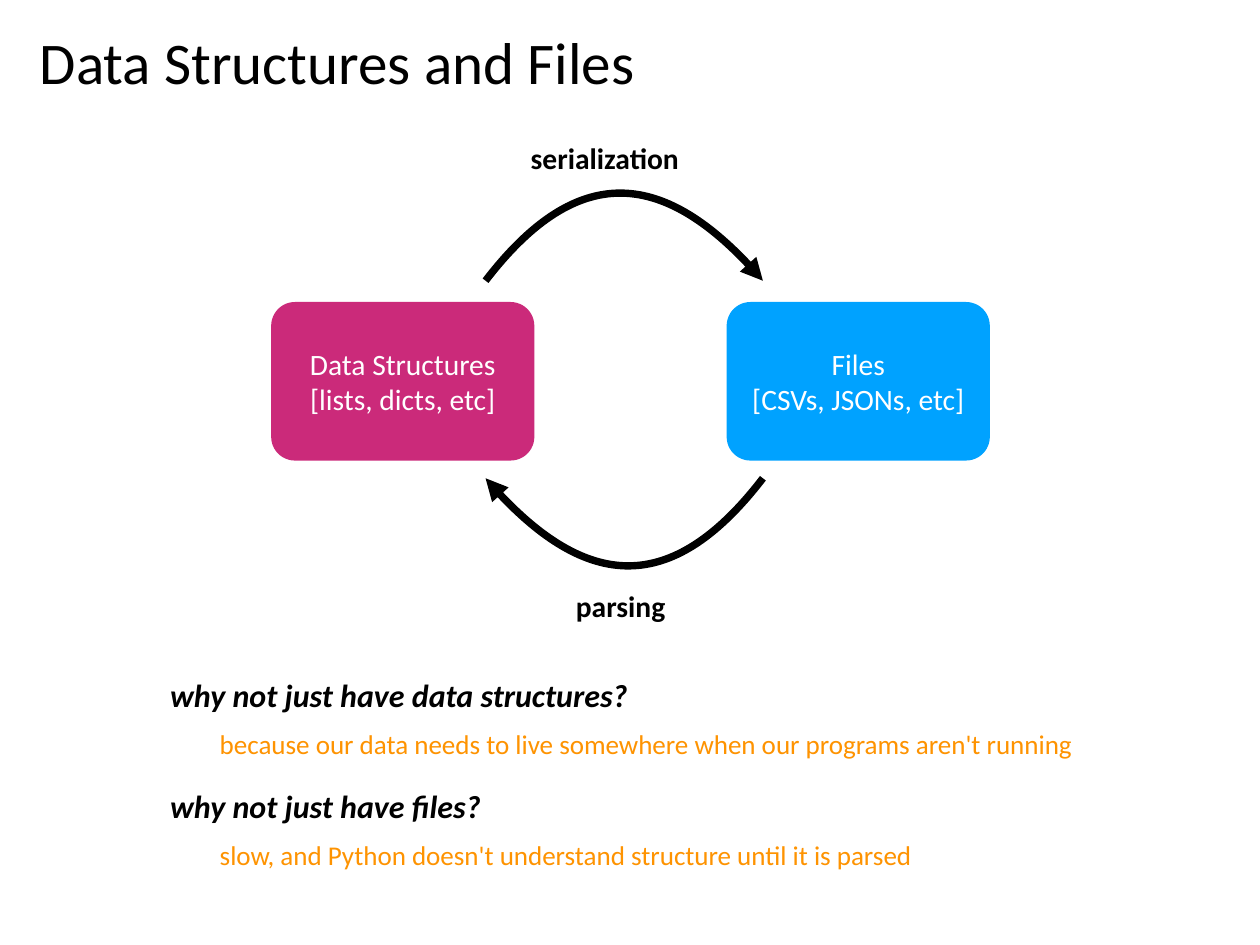
from lxml import etree
from pptx import Presentation
from pptx.dml.color import RGBColor
from pptx.enum.shapes import MSO_SHAPE
from pptx.enum.text import MSO_ANCHOR, PP_ALIGN
from pptx.oxml.ns import qn
from pptx.util import Inches, Pt

ROUNDED = MSO_SHAPE.ROUNDED_RECTANGLE
MIDDLE = MSO_ANCHOR.MIDDLE
LEFT, CENTER = PP_ALIGN.LEFT, PP_ALIGN.CENTER
WIDTH, HEIGHT = Inches(14.22), Inches(10.67)
FONT = "Calibri"
BLACK, WHITE, ORANGE = "000000", "FFFFFF", "FE9301"
MAGENTA, BLUE = "CB2A7A", "00A2FF"

BOX_TOP, BOX_W, BOX_H = 31.96, 20.89, 16.78
ARC_LEFT, ARC_SPAN, ARC_RISE = 38.54, 22.01, 12.09
QUESTION_TOP, QUESTION_STEP = 71.04, 11.72
ANSWER_DROP = 5.53

QUESTIONS = [
    ("why not just have data structures?",
     "because our data needs to live somewhere when our programs aren't running"),
    ("why not just have files?",
     "slow, and Python doesn't understand structure until it is parsed"),
]


def col(percent):
    return round(WIDTH * percent / 100)


def row(percent):
    return round(HEIGHT * percent / 100)


def rgb(value):
    return RGBColor.from_string(value)


def set_text(sp, text, size, color, align=LEFT, bold=False, italic=False):
    tf = sp.text_frame
    tf.text = text
    tf.word_wrap = True
    tf.vertical_anchor = MIDDLE
    tf.margin_left = tf.margin_right = Inches(0.06)
    tf.margin_top = tf.margin_bottom = Inches(0.06)
    for p in tf.paragraphs:
        p.alignment = align
        for r in p.runs:
            r.font.name, r.font.size = FONT, Pt(size)
            r.font.bold, r.font.italic = bold, italic
            r.font.color.rgb = rgb(color)


def add_text(s, left, top, width, height, text, size, color=BLACK, **style):
    sp = s.shapes.add_textbox(col(left), row(top), col(width), row(height))
    set_text(sp, text, size, color, **style)


def add_box(s, left, text, fill):
    sp = s.shapes.add_shape(ROUNDED, col(left), row(BOX_TOP), col(BOX_W), row(BOX_H))
    sp.adjustments[0] = 0.15
    sp.shadow.inherit = False
    sp.fill.solid()
    sp.fill.fore_color.rgb = rgb(fill)
    sp.line.fill.background()
    set_text(sp, text, 24, WHITE, align=CENTER)


def add_arc_arrow(s, left, top, turn):
    """Draw a curved arrow: turn 1 goes right over the top, -1 left underneath."""
    def point(dx, dy):
        return col(left + turn * dx), row(top - turn * dy)

    start, end = point(0, 0), point(ARC_SPAN, 0)
    apex = point(ARC_SPAN / 2, ARC_RISE * 0.75)
    controls = [point(6.96, ARC_RISE), point(14.28, ARC_RISE)]
    builder = s.shapes.build_freeform(*start)
    builder.add_line_segments([apex, end], close=False)
    sp = builder.convert_to_shape()
    sp.shadow.inherit = False
    sp.fill.background()
    sp.line.color.rgb = rgb(BLACK)
    sp.line.width = Pt(6)

    # Bend the two straight segments into one cubic curve.
    outline = next(sp._element.iter(qn("a:path")))
    for segment in outline.findall(qn("a:lnTo")):
        outline.remove(segment)
    curve = etree.SubElement(outline, qn("a:cubicBezTo"))
    for x, y in controls + [end]:
        etree.SubElement(curve, qn("a:pt"), x=str(x - sp.left), y=str(y - sp.top))
    ln = sp._element.spPr.find(qn("a:ln"))
    etree.SubElement(ln, qn("a:tailEnd"), type="triangle")


def main():
    prs = Presentation()
    prs.slide_width, prs.slide_height = WIDTH, HEIGHT
    s = prs.slides.add_slide(prs.slide_layouts[6])

    add_text(s, 2.74, 1.78, 62.24, 9.28, "Data Structures and Files", 48)
    add_box(s, 21.52, "Data Structures\n[lists, dicts, etc]", MAGENTA)
    add_box(s, 57.67, "Files\n[CSVs, JSONs, etc]", BLUE)
    add_arc_arrow(s, ARC_LEFT, 29.71, 1)
    add_arc_arrow(s, ARC_LEFT + ARC_SPAN, 50.61, -1)
    add_text(s, 41.7, 14.34, 15.4, 4.69, "serialization", 24, bold=True)
    add_text(s, 45.29, 61.76, 9.49, 4.69, "parsing", 24, bold=True)

    for i, (question, answer) in enumerate(QUESTIONS):
        top = QUESTION_TOP + i * QUESTION_STEP
        add_text(s, 13.08, top, 44, 4.97, question, 26, bold=True, italic=True)
        add_text(s, 17.02, top + ANSWER_DROP, 70, 4.31, answer, 22, ORANGE)

    prs.save("out.pptx")


if __name__ == "__main__":
    main()
